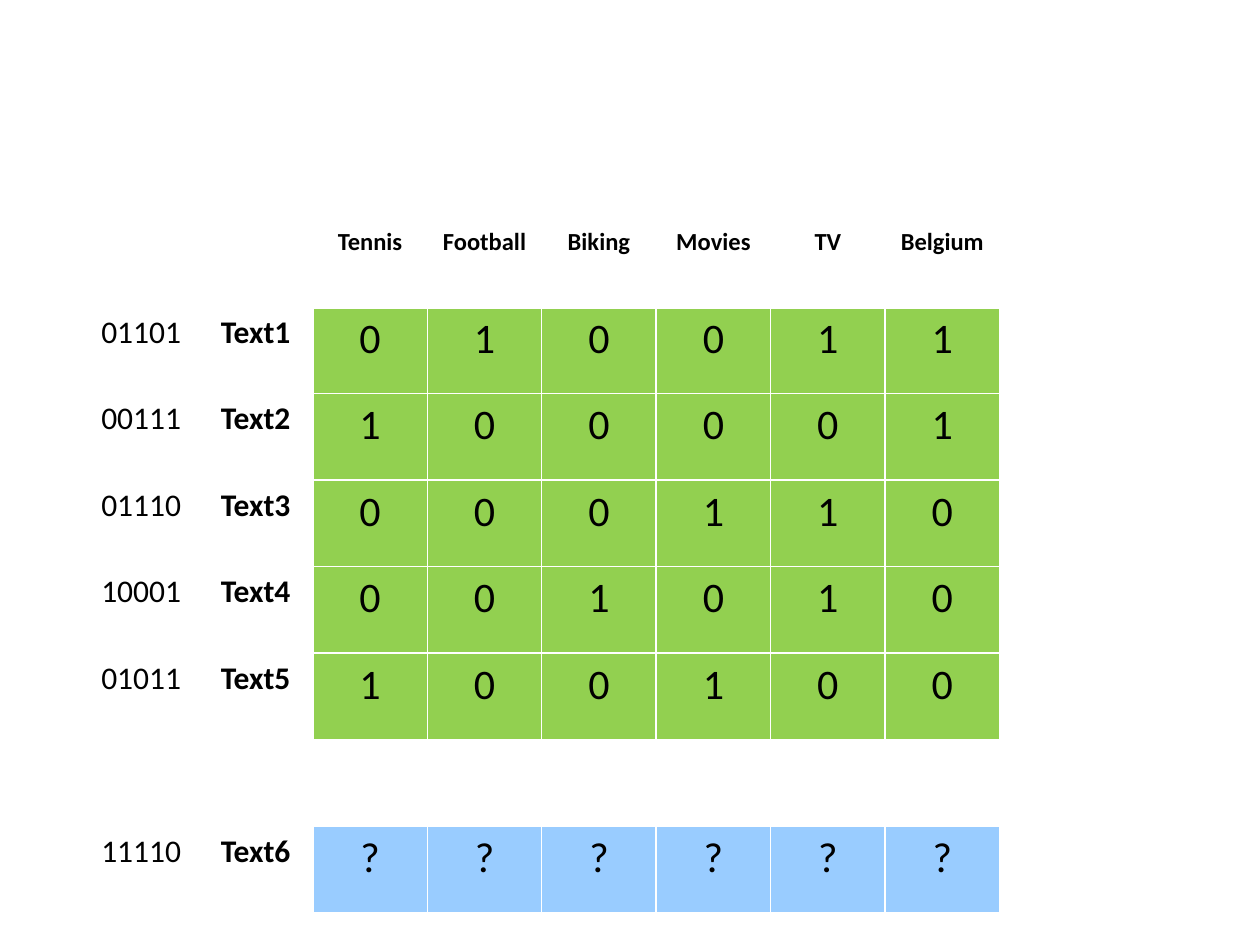
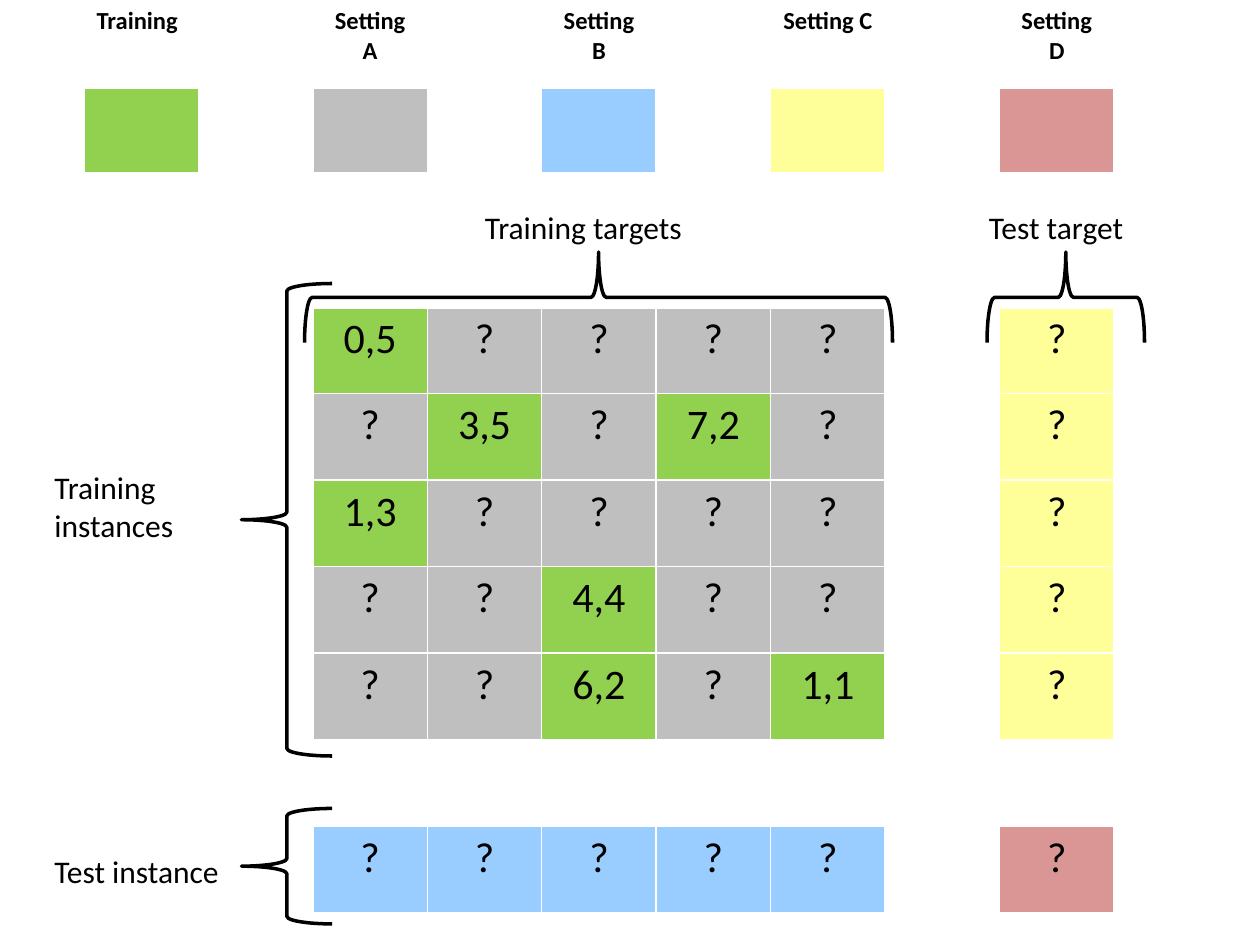
import dataclasses

import lxml.etree
import pptx
import pptx.dml.color
import pptx.enum.shapes
import pptx.enum.text
import pptx.oxml.ns
import pptx.util

SHAPE = pptx.enum.shapes.MSO_SHAPE
ALIGN = pptx.enum.text.PP_ALIGN
qn = pptx.oxml.ns.qn


# Colours, type sizes and line widths
@dataclasses.dataclass(frozen=True)
class Theme:
    font: str = "Calibri"
    ink: str = "000000"
    paper: str = "FFFFFF"
    green: str = "92D050"
    grey: str = "BFBFBF"
    blue: str = "99CCFF"
    yellow: str = "FFFF99"
    red: str = "D99694"
    head: int = 14
    label: int = 18
    value: int = 24
    rule: int = 1
    head_rule: int = 3
    brace: int = 2


class Deck:
    """Holds the theme and current slide; lengths count squares of a 120 x 90 grid."""

    COLS, ROWS = 120, 90

    def __init__(self, theme):
        self.theme = theme
        self.prs = pptx.Presentation()
        self.prs.slide_width = pptx.util.Inches(10)
        self.prs.slide_height = pptx.util.Inches(7.5)
        self.s = None

    def slide(self):
        self.s = self.prs.slides.add_slide(self.prs.slide_layouts[6])

    def box(self, x, y, w, h):
        col = self.prs.slide_width / self.COLS
        row = self.prs.slide_height / self.ROWS
        return [int(n) for n in (x * col, y * row, w * col, h * row)]

    def rgb(self, colour):
        return pptx.dml.color.RGBColor.from_string(colour)

    def run(self, p, text, align=None, **font):
        """Put one formatted run in a paragraph."""
        p.alignment = align
        r = p.add_run()
        r.text = text
        r.font.color.rgb = self.rgb(self.theme.ink)
        for name, value in {"name": self.theme.font, **font}.items():
            setattr(r.font, name, value)

    def borders(self, cell, top, bottom):
        """Draw paper-coloured rules around a cell."""
        tcPr = cell._tc.get_or_add_tcPr()
        widths = {"a:lnL": self.theme.rule, "a:lnR": self.theme.rule,
                  "a:lnT": top, "a:lnB": bottom}
        for i, (tag, width) in enumerate(widths.items()):
            ln = lxml.etree.Element(qn(tag), w=str(pptx.util.Pt(width)))
            fill = lxml.etree.SubElement(ln, qn("a:solidFill"))
            lxml.etree.SubElement(fill, qn("a:srgbClr"), val=self.theme.paper)
            tcPr.insert(i, ln)

    def table(self, x, y, w, h, rows, fill_of, font_of):
        """Add an even table; fill_of and font_of give each cell's format."""
        t = self.theme
        tb = self.s.shapes.add_table(len(rows), len(rows[0]), *self.box(x, y, w, h)).table
        tb.first_row = tb.horz_banding = False
        for i, row in enumerate(rows):
            for j, text in enumerate(row):
                cell = tb.cell(i, j)
                cell.fill.solid()
                cell.fill.fore_color.rgb = self.rgb(fill_of(i, j, text))
                self.borders(cell, t.head_rule if i == 1 else t.rule,
                             t.head_rule if i == 0 else t.rule)
                if text:
                    self.run(cell.text_frame.paragraphs[0], text, **font_of(i, j))

    def text(self, x, y, w, h, lines, gap=0, tab=None):
        """Add labels, gap points apart, with an optional tab stop."""
        tf = self.s.shapes.add_textbox(*self.box(x, y, w, h)).text_frame
        tf.word_wrap = True
        tf.auto_size = pptx.enum.text.MSO_AUTO_SIZE.SHAPE_TO_FIT_TEXT
        for i, line in enumerate(lines):
            p = tf.add_paragraph() if i else tf.paragraphs[0]
            self.run(p, line, size=pptx.util.Pt(self.theme.label))
            if i:
                p.space_before = pptx.util.Pt(gap)
            if tab:
                stops = lxml.etree.SubElement(p._p.get_or_add_pPr(), qn("a:tabLst"))
                pos = self.box(tab, 0, 0, 0)[0]
                lxml.etree.SubElement(stops, qn("a:tab"), pos=str(pos), algn="l")

    def brace(self, x, y, w, h, upright=True):
        """Add a brace in the given area, pointing left or, if not upright, up."""
        if not upright:
            x, y, w, h = x + (w - h) / 2, y + (h - w) / 2, h, w
        sp = self.s.shapes.add_shape(SHAPE.LEFT_BRACE, *self.box(x, y, w, h))
        sp.rotation = 0 if upright else 90
        sp.shadow.inherit = False
        sp.fill.background()
        sp.line.color.rgb = self.rgb(self.theme.ink)
        sp.line.width = pptx.util.Pt(self.theme.brace)


THEME = Theme()
LEFT, TOP, COL, ROW = 8, 21, 10.9, 8.24
BRACE_DEPTH = 8.64

TARGETS = ["Tennis", "Football", "Biking", "Movies", "TV", "Belgium"]
INSTANCES = [("01101", "010011"), ("00111", "100001"), ("01110", "000110"),
             ("10001", "001010"), ("01011", "100100"), None, ("11110", "??????")]
KNOWN = {(1, 2): "0,5", (2, 3): "3,5", (2, 5): "7,2", (3, 2): "1,3",
         (4, 4): "4,4", (5, 4): "6,2", (5, 6): "1,1"}
LEGEND = {"Training": THEME.green, "Setting A": THEME.grey, "Setting B": THEME.blue,
          "Setting C": THEME.yellow, "Setting D": THEME.red}
TEST_ROW, TEST_COL = 7, 8


def cell_font(i, j):
    """Small bold heads, mid-size row labels, large values."""
    size = THEME.head if i == 0 else THEME.label if j < 2 else THEME.value
    return {"align": ALIGN.CENTER, "size": pptx.util.Pt(size), "bold": i == 0 or j == 1}


def label_fill(i, j, text):
    if i == 0 or j < 2 or not text:
        return THEME.paper
    return THEME.blue if i == TEST_ROW else THEME.green


def setting_fill(i, j, text):
    if not text:
        return THEME.paper
    if j == TEST_COL:
        return THEME.red if i == TEST_ROW else THEME.yellow
    if i == TEST_ROW:
        return THEME.blue
    return THEME.grey if text == "?" else THEME.green


def legend_fill(i, j, text):
    swatches = list(LEGEND.values())
    return swatches[j // 2] if i == 1 and j % 2 == 0 else THEME.paper


def legend_font(i, j):
    return {**cell_font(i, j), "align": ALIGN.CENTER if j else None}


def multi_label_slide(deck):
    deck.slide()
    rows = [["", "", *TARGETS, "", ""]]
    number = 0
    for instance in INSTANCES:
        if instance:
            number += 1
            code, values = instance
            rows.append([code, f"Text{number}", *values, "", ""])
        else:
            rows.append([""] * 10)
    deck.table(LEFT, TOP, 10 * COL, 8 * ROW, rows, label_fill, cell_font)


def settings_slide(deck):
    deck.slide()
    # Matrix of training and test cells
    used_rows, used_cols = {1, 2, 3, 4, 5, TEST_ROW}, {2, 3, 4, 5, 6, TEST_COL}
    rows = [[KNOWN.get((i, j), "?") if i in used_rows and j in used_cols else ""
             for j in range(9)] for i in range(8)]
    deck.table(LEFT, TOP, 9 * COL, 8 * ROW, rows, setting_fill, cell_font)
    # Legend
    heads = [text for name in LEGEND for text in (name, "")]
    deck.table(LEFT, 0, 10 * COL, 2 * ROW, [heads, [""] * 10], legend_fill, legend_font)
    # Braces around instances, then targets
    for top, height in ((27, 45), (77, 11)):
        deck.brace(23, top, BRACE_DEPTH, height)
    for left, width in ((29, 56), (94, 15)):
        deck.brace(left, 24, width, BRACE_DEPTH, upright=False)
    # Labels
    deck.text(4, 44, 20, 41.2, ["Training instances", "Test instance"], gap=176)
    deck.text(45, 19.2, 68, 4.8, ["Training targets\tTest target"], tab=48)


def main():
    deck = Deck(THEME)
    multi_label_slide(deck)
    settings_slide(deck)
    deck.prs.save("out.pptx")


if __name__ == "__main__":
    main()
